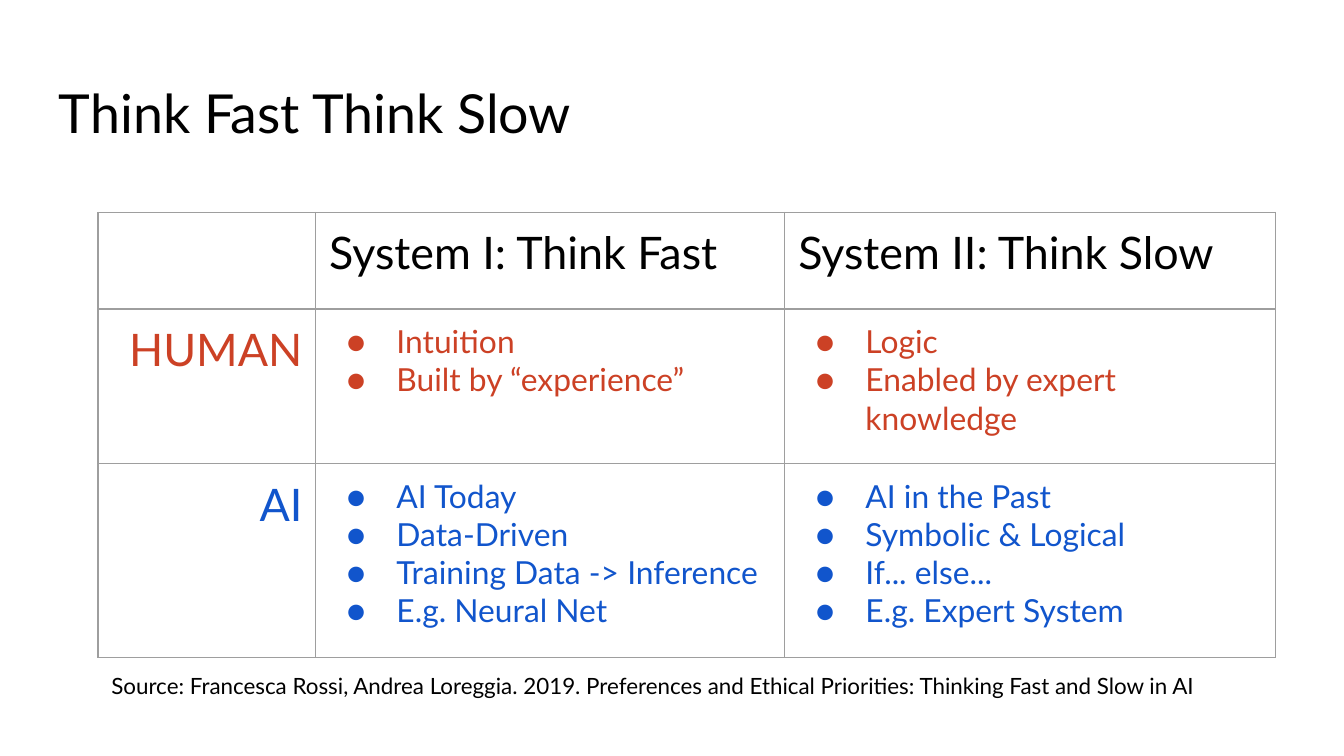
from lxml.etree import SubElement
from pptx import Presentation
from pptx.dml.color import RGBColor
from pptx.enum.text import MSO_ANCHOR, PP_ALIGN
from pptx.oxml.ns import qn
from pptx.util import Inches, Pt

COLORS = {"text": "000000", "human": "CC4125", "ai": "1155CC", "border": "9E9E9E"}
FONT = "Lato"
MARGIN = Inches(0.1)
COLUMN_WIDTHS = [1.62, 3.49, 3.65]
ROW_HEIGHTS = [0.72, 1.15, 1.44]
HEADERS = ["", "System I: Think Fast", "System II: Think Slow"]
COMPARISON = [
    ("HUMAN", "human", [
        ["Intuition", "Built by “experience”"],
        ["Logic", "Enabled by expert knowledge"],
    ]),
    ("AI", "ai", [
        ["AI Today", "Data-Driven", "Training Data -> Inference", "E.g. Neural Net"],
        ["AI in the Past", "Symbolic & Logical", "If... else...", "E.g. Expert System"],
    ]),
]


def format_text(text_frame, size, color):
    """Apply one font, size and colour to every run."""
    for paragraph in text_frame.paragraphs:
        for run in paragraph.runs:
            run.font.name = FONT
            run.font.size = Pt(size)
            run.font.color.rgb = RGBColor.from_string(COLORS[color])


def add_text(slide, box, text, size):
    """Place a wrapped text box in the given box."""
    shape = slide.shapes.add_textbox(*map(Inches, box))
    text_frame = shape.text_frame
    text_frame.word_wrap = True
    text_frame.vertical_anchor = MSO_ANCHOR.TOP
    text_frame.margin_left = text_frame.margin_right = MARGIN
    text_frame.margin_top = text_frame.margin_bottom = MARGIN
    text_frame.text = text
    format_text(text_frame, size, "text")


def style_cell(cell):
    """Clear the fill, set the margins and draw the four borders."""
    cell.margin_left = cell.margin_right = MARGIN
    cell.margin_top = cell.margin_bottom = MARGIN
    properties = cell._tc.get_or_add_tcPr()
    for side in ("a:lnL", "a:lnR", "a:lnT", "a:lnB"):
        line = SubElement(properties, qn(side), w=str(Pt(0.75)))
        fill = SubElement(line, qn("a:solidFill"))
        SubElement(fill, qn("a:srgbClr"), val=COLORS["border"])
    cell.fill.background()


def add_bullet(paragraph, size, color):
    """Give a paragraph a hanging round bullet."""
    properties = paragraph._p.get_or_add_pPr()
    properties.set("marL", str(Inches(0.5)))
    properties.set("indent", str(Inches(-0.37)))
    bullet_color = SubElement(properties, qn("a:buClr"))
    SubElement(bullet_color, qn("a:srgbClr"), val=COLORS[color])
    SubElement(properties, qn("a:buSzPts"), val=str(size * 100))
    SubElement(properties, qn("a:buFont"), typeface=FONT)
    SubElement(properties, qn("a:buChar"), char="●")


def add_comparison_table(slide, left, top):
    """Place the table comparing both systems for humans and AI."""
    frame = slide.shapes.add_table(
        len(ROW_HEIGHTS), len(COLUMN_WIDTHS), Inches(left), Inches(top),
        Inches(sum(COLUMN_WIDTHS)), Inches(sum(ROW_HEIGHTS)))
    table = frame.table
    table.first_row = table.horz_banding = False
    for column, width in zip(table.columns, COLUMN_WIDTHS):
        column.width = Inches(width)
    for row, height in zip(table.rows, ROW_HEIGHTS):
        row.height = Inches(height)
    for cell in table.iter_cells():
        style_cell(cell)
    for column, header in enumerate(HEADERS):
        text_frame = table.cell(0, column).text_frame
        text_frame.text = header
        format_text(text_frame, 24, "text")
    for row, (label, color, systems) in enumerate(COMPARISON, start=1):
        text_frame = table.cell(row, 0).text_frame
        text_frame.text = label
        text_frame.paragraphs[0].alignment = PP_ALIGN.RIGHT
        format_text(text_frame, 24, color)
        for column, points in enumerate(systems, start=1):
            text_frame = table.cell(row, column).text_frame
            text_frame.text = "\n".join(points)
            format_text(text_frame, 17, color)
            for paragraph in text_frame.paragraphs:
                add_bullet(paragraph, 17, color)


def main():
    """Build and save the slide."""
    presentation = Presentation()
    presentation.slide_width = Inches(10)
    presentation.slide_height = presentation.slide_width * 9 // 16
    slide = presentation.slides.add_slide(presentation.slide_layouts[6])
    add_text(slide, (0.34, 0.49, 9.32, 0.63), "Think Fast Think Slow", 28.8)
    add_comparison_table(slide, 0.73, 1.58)
    add_text(slide, (0.73, 4.9, 9.01, 0.61),
             "Source: Francesca Rossi, Andrea Loreggia. 2019. Preferences and "
             "Ethical Priorities: Thinking Fast and Slow in AI", 12)
    presentation.save("out.pptx")


if __name__ == "__main__":
    main()
